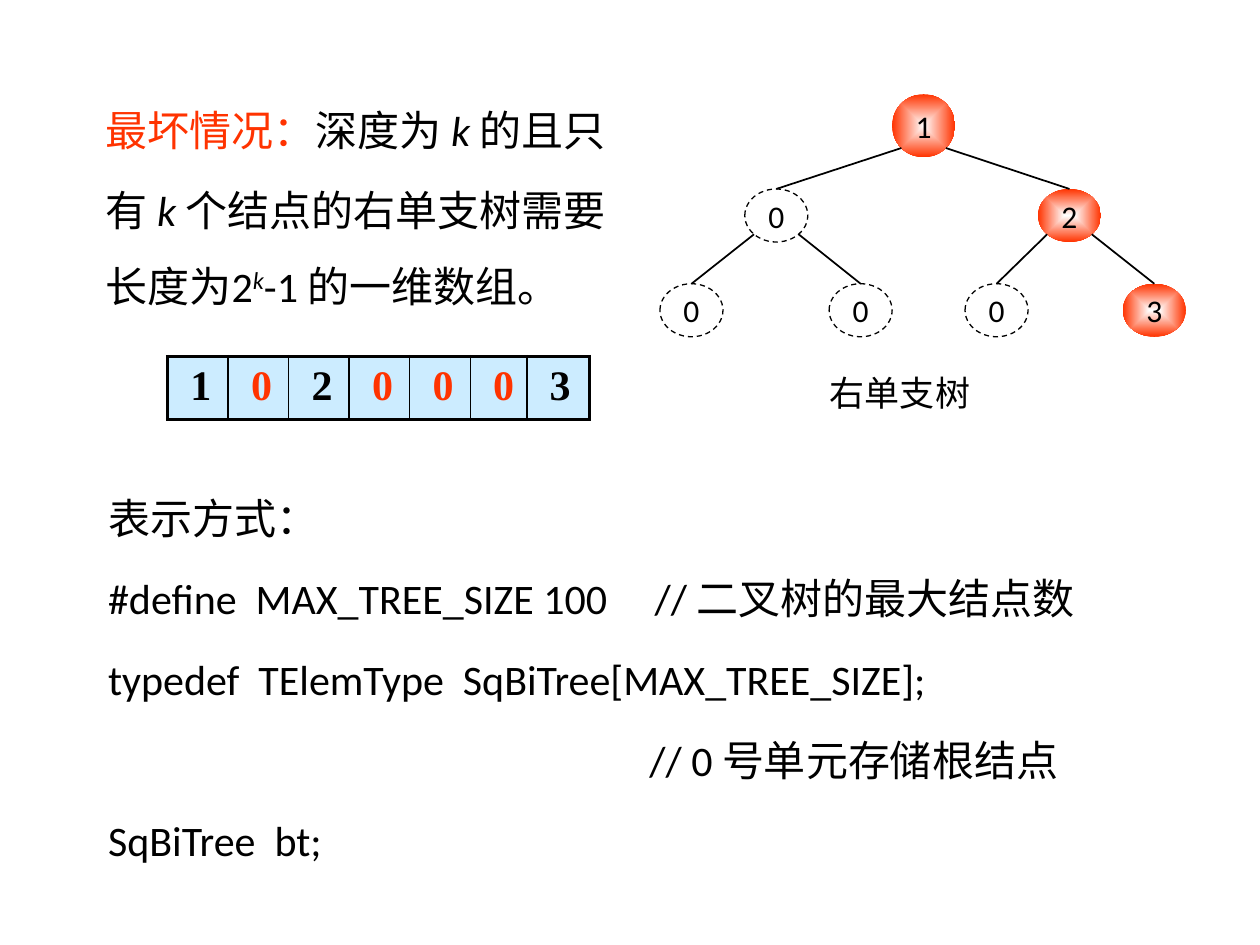
import math
from dataclasses import dataclass

import lxml.etree
import pptx
import pptx.dml.color
import pptx.enum.dml
import pptx.enum.shapes
import pptx.enum.text
import pptx.oxml
import pptx.oxml.ns
import pptx.util

Cm = pptx.util.Cm
Pt = pptx.util.Pt
qn = pptx.oxml.ns.qn


@dataclass(frozen=True)
class Theme:
    ink: str = "000000"
    accent: str = "FF3300"
    glow: str = "FFFFFF"
    cell: str = "CCECFF"
    font: str = "Calibri"
    digit_font: str = "Times New Roman"
    body: int = 24
    caption: int = 20
    node: int = 18
    thick: float = 2.25
    thin: float = 1


THEME = Theme()
TREE = [1, 0, 2, 0, 0, 0, 3]
NODE_CENTERS = [18.62, 15.65, 21.56, 13.94, 17.35, 20.09, 23.27]
TREE_TOP = 1.9
LEVEL_STEP = 1.91
NODE_WIDTH = 1.27
NODE_HEIGHT = 1.07
COLUMN_WIDTHS = [1.22] * 5 + [1.14, 1.27]


def rgb(value):
    return pptx.dml.color.RGBColor.from_string(value)


def add_span(para, text, size=THEME.body, color=THEME.ink, font=THEME.font,
             bold=False, italic=False, baseline=None):
    span = para.add_run()
    span.text = text
    span.font.size = Pt(size)
    span.font.name = font
    span.font.bold = bold
    span.font.italic = italic
    span.font.color.rgb = rgb(color)
    if baseline:
        span.font._element.set("baseline", str(baseline))


def add_text(page, left, top, width, height, lines, spacings):
    box = page.shapes.add_textbox(Cm(left), Cm(top), Cm(width), Cm(height))
    frame = box.text_frame
    frame.word_wrap = True
    for index, (spans, spacing) in enumerate(zip(lines, spacings)):
        para = frame.add_paragraph() if index else frame.paragraphs[0]
        para.line_spacing = spacing
        for text, style in spans:
            add_span(para, text, **style)


def set_border(cell, side, width):
    line = lxml.etree.SubElement(cell._tc.get_or_add_tcPr(), qn(f"a:ln{side}"),
                                 w=str(Pt(width)))
    fill = lxml.etree.SubElement(line, qn("a:solidFill"))
    lxml.etree.SubElement(fill, qn("a:srgbClr"), val=THEME.ink)


def add_array(page, left, top, height):
    frame = page.shapes.add_table(1, len(TREE), Cm(left), Cm(top),
                                  Cm(sum(COLUMN_WIDTHS)), Cm(height))
    table = frame.table
    table.rows[0].height = Cm(height)
    last = len(TREE) - 1
    for index, (value, width) in enumerate(zip(TREE, COLUMN_WIDTHS)):
        table.columns[index].width = Cm(width)
        cell = table.cell(0, index)
        set_border(cell, "L", THEME.thin if index else THEME.thick)
        set_border(cell, "R", THEME.thin if index < last else THEME.thick)
        set_border(cell, "T", THEME.thick)
        set_border(cell, "B", THEME.thick)
        cell.fill.solid()
        cell.fill.fore_color.rgb = rgb(THEME.cell)
        cell.margin_left = Cm(0.46)
        cell.margin_right = Cm(0)
        add_span(cell.text_frame.paragraphs[0], str(value), bold=True,
                 font=THEME.digit_font, color=THEME.ink if value else THEME.accent)


def fill_with_glow(box):
    box.fill.gradient()
    gradient = box._element.spPr.find(qn("a:gradFill"))
    for child in list(gradient):
        gradient.remove(child)
    stops = lxml.etree.SubElement(gradient, qn("a:gsLst"))
    for position, color in ((0, THEME.glow), (100000, THEME.accent)):
        stop = lxml.etree.SubElement(stops, qn("a:gs"), pos=str(position))
        lxml.etree.SubElement(stop, qn("a:srgbClr"), val=color)
    shading = lxml.etree.SubElement(gradient, qn("a:path"), path="shape")
    lxml.etree.SubElement(shading, qn("a:fillToRect"),
                          {side: "50000" for side in "ltrb"})


def node_frame(index):
    level = int(math.log2(index + 1))
    height = NODE_HEIGHT if index else NODE_WIDTH
    return NODE_CENTERS[index], TREE_TOP + level * LEVEL_STEP, height


def add_node(page, index):
    center, top, height = node_frame(index)
    box = page.shapes.add_shape(pptx.enum.shapes.MSO_SHAPE.OVAL,
                                Cm(center - NODE_WIDTH / 2), Cm(top),
                                Cm(NODE_WIDTH), Cm(height))
    box.shadow.inherit = False
    if TREE[index]:
        fill_with_glow(box)
        box.line.fill.background()
    else:
        box.fill.background()
        box.line.color.rgb = rgb(THEME.ink)
        box.line.width = Pt(0.75)
        box.line.dash_style = pptx.enum.dml.MSO_LINE.DASH
    frame = box.text_frame
    frame.word_wrap = False
    frame.vertical_anchor = pptx.enum.text.MSO_ANCHOR.MIDDLE
    para = frame.paragraphs[0]
    para.alignment = pptx.enum.text.PP_ALIGN.CENTER
    add_span(para, str(TREE[index]), size=THEME.node)


def add_branch(page, child):
    center, top, height = node_frame((child - 1) // 2)
    child_center, child_top, _ = node_frame(child)
    side = math.copysign(1, child_center - center)
    diagonal = math.sqrt(0.5)
    start_x = center + side * diagonal * NODE_WIDTH / 2
    start_y = top + (1 + diagonal) * height / 2
    branch = page.shapes.add_connector(pptx.enum.shapes.MSO_CONNECTOR.STRAIGHT,
                                       Cm(start_x), Cm(start_y),
                                       Cm(child_center), Cm(child_top))
    branch.line.color.rgb = rgb(THEME.ink)
    branch.line.width = Pt(THEME.thin)
    lxml.etree.SubElement(branch._element.spPr, qn("a:effectLst"))


def main():
    deck = pptx.Presentation()
    deck.slide_width = Cm(25.4)
    deck.slide_height = Cm(19.05)
    page = deck.slides.add_slide(deck.slide_layouts[6])

    italic = {"italic": True}
    worst_case = [
        [("最坏情况：", {"color": THEME.accent}), ("深度为 ", {}),
         ("k ", italic), ("的且只", {})],
        [("有 ", {}), ("k ", italic), ("个结点的右单支树需要", {})],
        [("长度为2", {}), ("k", {"italic": True, "baseline": 30000}),
         ("-1 的一维数组。", {})],
    ]
    add_text(page, 1.88, 1.47, 11.46, 4.93, worst_case, [1.5, 1.6, 1.5])
    add_array(page, 3.38, 7.19, 1.27)

    code = [
        "表示方式：",
        "#define  MAX_TREE_SIZE 100     // 二叉树的最大结点数",
        "typedef  TElemType  SqBiTree[MAX_TREE_SIZE];",
        " " * 57 + "// 0 号单元存储根结点",
        "SqBiTree  bt;",
    ]
    add_text(page, 1.93, 9.19, 20.57, 8.28,
             [[(line, {})] for line in code], [1.6] * len(code))

    for index in range(len(TREE)):
        add_node(page, index)
    for child in range(1, len(TREE)):
        add_branch(page, child)
    add_text(page, 16.48, 7.37, 3.6, 1.09,
             [[("右单支树", {"size": THEME.caption})]], [1])

    deck.save("out.pptx")


if __name__ == "__main__":
    main()
